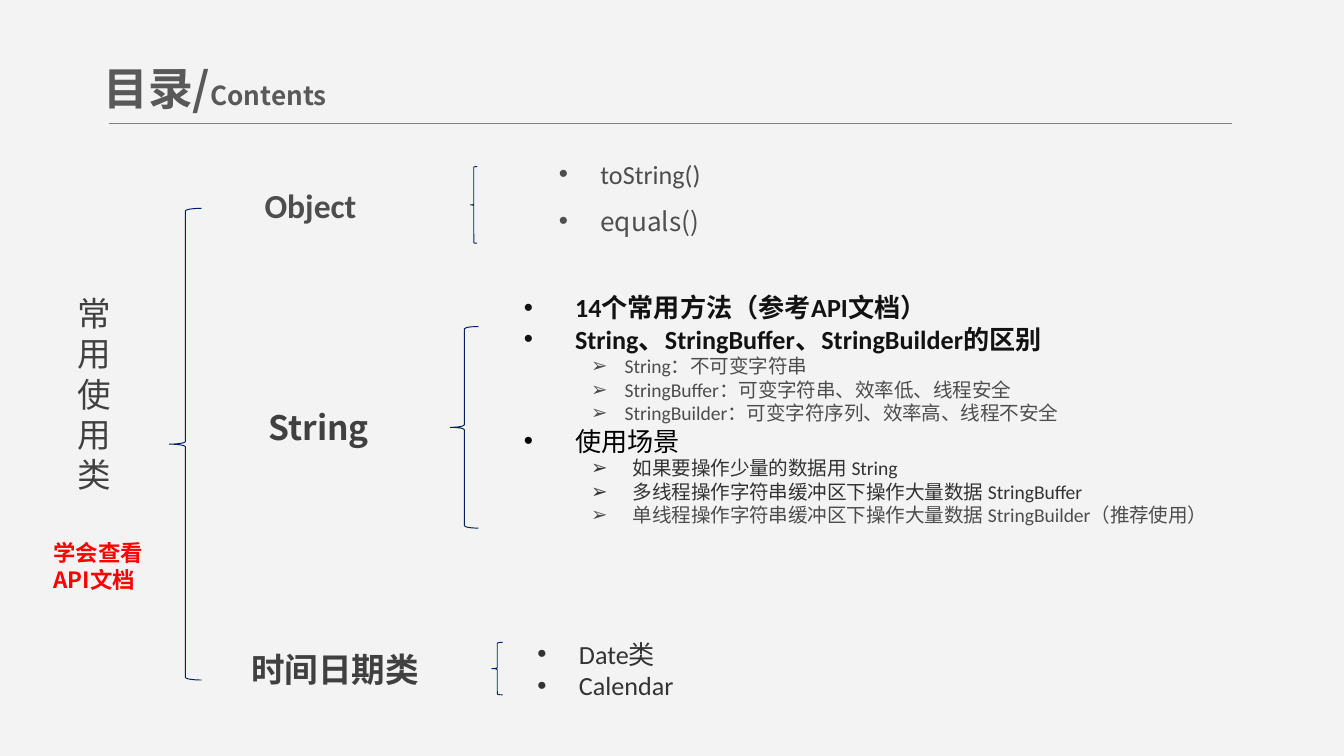
import pptx
import pptx.util
import pptx.dml.color
import pptx.enum.shapes
import pptx.enum.text
import pptx.oxml.ns
from lxml import etree

Inches = pptx.util.Inches
Pt = pptx.util.Pt
SANS = "Noto Sans CJK SC"
LINE_HEIGHT = 1.2


def color(value):
    return pptx.dml.color.RGBColor.from_string(value)


def add_xml(parent, tag, **attributes):
    return etree.SubElement(parent, pptx.oxml.ns.qn(tag), attributes)


def add_text_box(page, left, top, width, height, middle=False):
    box = page.shapes.add_textbox(Inches(left), Inches(top), Inches(width), Inches(height))
    frame = box.text_frame
    frame.word_wrap = True
    if middle:
        frame.vertical_anchor = pptx.enum.text.MSO_ANCHOR.MIDDLE
    return frame


def add_span(para, text, size=14, font=SANS, fill="404040", bold=False):
    span = para.add_run()
    span.text = text
    span.font.size = Pt(size)
    span.font.name = font
    span.font.bold = bold
    span.font.color.rgb = color(fill)
    add_xml(span.font._element, "a:ea", typeface=SANS)


def add_para(frame, text, size=14, spacing=1, bullet=None, margin=0, hanging=0,
             level=0, centered=False, **style):
    first = frame.paragraphs[0]
    para = frame.add_paragraph() if first.runs else first
    para.level = level
    para.line_spacing = Pt(round(size * LINE_HEIGHT * spacing, 1))
    if centered:
        para.alignment = pptx.enum.text.PP_ALIGN.CENTER
    if bullet:
        properties = para._p.get_or_add_pPr()
        properties.set("marL", str(Inches(margin)))
        properties.set("indent", str(-Inches(hanging)))
        add_xml(properties, "a:buFont", typeface="Arial")
        add_xml(properties, "a:buChar", char=bullet)
    add_span(para, text, size, **style)
    return para


def add_topic(frame, text, indent=0.31, **style):
    add_para(frame, text, bullet="•", margin=indent, hanging=indent, **style)


def add_detail(frame, text, hanging, **style):
    add_para(frame, text, size=10.5, bullet="➢", margin=0.5 + hanging,
             hanging=hanging, level=1, font="Calibri", **style)


def add_brace(page, left, top, width, height):
    brace = page.shapes.add_shape(
        pptx.enum.shapes.MSO_SHAPE.LEFT_BRACE,
        Inches(left), Inches(top), Inches(width), Inches(height))
    brace.shadow.inherit = False
    brace.fill.background()
    brace.line.color.rgb = color("002060")
    brace.line.width = Pt(0.5)


def add_header(page):
    frame = add_text_box(page, 0.67, 0.38, 2.47, 0.54, middle=True)
    title = add_para(frame, "目录/", size=24, fill="595959", bold=True)
    add_span(title, "Contents", size=14, fill="595959", bold=True)
    rule = page.shapes.add_connector(
        pptx.enum.shapes.MSO_CONNECTOR.STRAIGHT,
        Inches(0.81), Inches(0.92), Inches(9.17), Inches(0.92))
    rule.line.color.rgb = color("808080")
    rule.line.width = Pt(0.5)
    add_xml(rule._element.spPr, "a:effectLst")


def add_class_names(page):
    names = [
        ("Object", 1.87, 1.33, 1.2, "Calibri", "4D4D4D"),
        ("String", 1.9, 2.98, 1.13, SANS, "404040"),
        ("时间日期类", 1.77, 4.78, 2.03, SANS, "404040"),
    ]
    for text, left, top, width, font, fill in names:
        frame = add_text_box(page, left, top, width, 0.4)
        add_para(frame, text, size=18, font=font, fill=fill, bold=True)


def add_root(page):
    root = add_text_box(page, 0.43, 2.13, 0.55, 1.62)
    add_para(root, "常用使用类", size=18, centered=True)
    hint = add_text_box(page, 0.3, 3.96, 1.04, 0.5)
    add_para(hint, "学会查看API文档", size=12, fill="FF0000", bold=True)


def add_object_topics(page):
    frame = add_text_box(page, 4.06, 1.01, 1.73, 0.81)
    add_topic(frame, "toString()", spacing=1.5, font="Calibri", fill="4D4D4D")
    add_topic(frame, "equals()", spacing=1.5, fill="4F4F4F")


def add_string_topics(page):
    frame = add_text_box(page, 3.8, 2.12, 7.18, 1.87)
    for text in ("14个常用方法（参考API文档）",
                 "String、StringBuffer、StringBuilder的区别"):
        add_topic(frame, text, indent=0.38, font="Calibri", fill="121212", bold=True)
    for text in ("String：不可变字符串",
                 "StringBuffer：可变字符串、效率低、线程安全",
                 "StringBuilder：可变字符序列、效率高、线程不安全"):
        add_detail(frame, text, 0.25, fill="4D4D4D")
    add_topic(frame, "使用场景", indent=0.38, fill="000000")
    for text, fill in (("如果要操作少量的数据用 String", "333333"),
                       ("多线程操作字符串缓冲区下操作大量数据 StringBuffer", "333333"),
                       ("单线程操作字符串缓冲区下操作大量数据 StringBuilder（推荐使用）", "4D4D4D")):
        add_detail(frame, text, 0.31, fill=fill)


def add_date_topics(page):
    frame = add_text_box(page, 3.9, 4.7, 4.83, 0.57)
    for text in ("Date类", "Calendar"):
        add_topic(frame, text, font="Calibri", fill="333333")


def main():
    deck = pptx.Presentation()
    deck.slide_width = Inches(10)
    deck.slide_height = deck.slide_width * 9 // 16
    page = deck.slides.add_slide(deck.slide_layouts[6])
    page.background.fill.solid()
    page.background.fill.fore_color.rgb = color("F3F3F3")
    add_header(page)
    add_class_names(page)
    add_object_topics(page)
    add_date_topics(page)
    add_root(page)
    add_string_topics(page)
    for place in ((1.26, 1.55, 0.24, 3.51), (3.5, 1.24, 0.05, 0.57),
                  (3.35, 2.43, 0.21, 1.5), (3.66, 4.78, 0.08, 0.39)):
        add_brace(page, *place)
    deck.save("out.pptx")


main()
